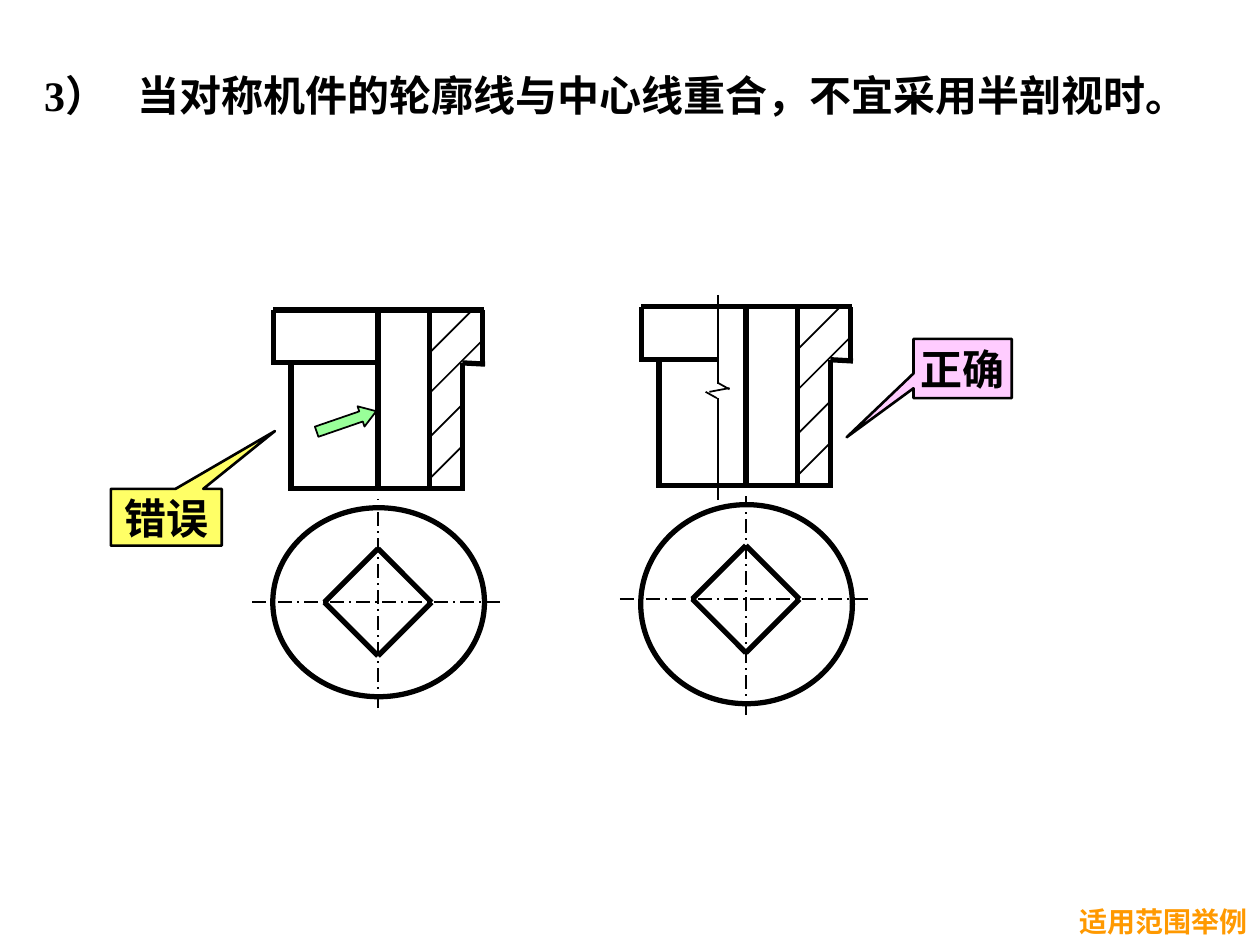
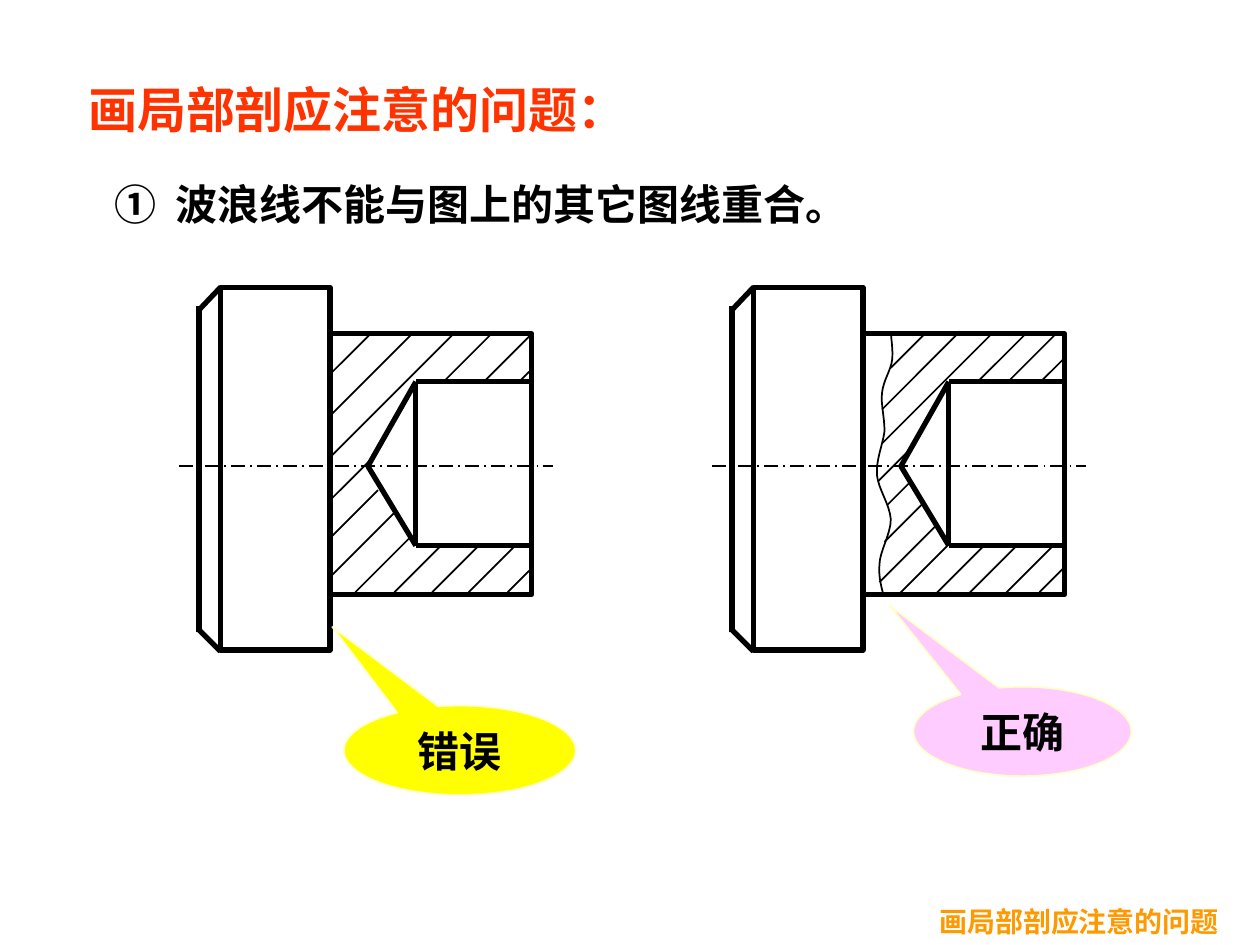
import itertools

import lxml.etree
import pptx
import pptx.dml.color
import pptx.enum.dml
import pptx.enum.shapes
import pptx.enum.text
import pptx.oxml.ns
import pptx.util

COLORS = {
    "ink": "000000", "heading": "FF3300", "footer": "FF9900",
    "arrow": "99FF99", "wrong_box": "FFFF66", "wrong_bubble": "FFFF00",
    "right": "FFCCFF", "bubble_edge": "FFFFCC",
}
COLUMNS, ROWS = 100, 75
THICK, MEDIUM, THIN = 3, 1.5, 1
SHAPES = pptx.enum.shapes.MSO_SHAPE
ALIGN = pptx.enum.text.PP_ALIGN
ANCHOR = pptx.enum.text.MSO_ANCHOR


class Sheet:
    """Style of the deck and the slide being drawn, on a grid of columns and rows."""

    font_name = "Times New Roman"

    def __init__(self):
        self.deck = pptx.Presentation()
        self.deck.slide_width = pptx.util.Inches(10)
        self.deck.slide_height = pptx.util.Inches(7.5)
        self.cell_width = self.deck.slide_width / COLUMNS
        self.cell_height = self.deck.slide_height / ROWS
        self.page = self.target = None

    def new_page(self):
        self.page = self.deck.slides.add_slide(self.deck.slide_layouts[5])
        self.target = self.page.shapes

    def start_group(self):
        self.target = self.page.shapes.add_group_shape().shapes

    def end_group(self):
        self.target = self.page.shapes

    def point(self, column, row):
        return round(column * self.cell_width), round(row * self.cell_height)

    def color(self, name):
        return pptx.dml.color.RGBColor.from_string(COLORS[name])

    def fill_text(self, box, text, size=24, color="ink", align=ALIGN.CENTER,
                  anchor=ANCHOR.MIDDLE, wrap=False, tab=None):
        frame = box.text_frame
        frame_format = {
            "word_wrap": wrap, "vertical_anchor": anchor,
            "auto_size": pptx.enum.text.MSO_AUTO_SIZE.NONE,
            "margin_left": pptx.util.Inches(0.1), "margin_right": pptx.util.Inches(0.1),
            "margin_top": pptx.util.Inches(0.05), "margin_bottom": pptx.util.Inches(0.05),
        }
        for name, value in frame_format.items():
            setattr(frame, name, value)
        para = frame.paragraphs[0]
        para.alignment = align
        if tab:
            qn = pptx.oxml.ns.qn
            stops = lxml.etree.SubElement(para._p.get_or_add_pPr(), qn("a:tabLst"))
            position = self.point(tab, 0)[0]
            lxml.etree.SubElement(stops, qn("a:tab"), pos=str(position), algn="l")
        span = para.add_run()
        span.text = text
        span_format = {"name": self.font_name, "size": pptx.util.Pt(size), "bold": True}
        for name, value in span_format.items():
            setattr(span.font, name, value)
        span.font.color.rgb = self.color(color)

    def title(self, text, area, **style):
        box = self.page.shapes.title
        (box.left, box.top), (box.width, box.height) = self.point(*area[:2]), self.point(*area[2:])
        self.fill_text(box, text, align=ALIGN.LEFT, **style)

    def text(self, text, area, **style):
        box = self.target.add_textbox(*self.point(*area[:2]), *self.point(*area[2:]))
        self.fill_text(box, text, anchor=ANCHOR.TOP, **style)

    def footer(self, text, area):
        self.text(text, area, size=16, color="footer")

    def outline(self, shape, width, color="ink"):
        shape.line.width = pptx.util.Pt(width)
        shape.line.color.rgb = self.color(color)

    def shape(self, kind, area, fill=None, width=THICK, edge="ink", adjust=(), turn=0):
        shape = self.target.add_shape(kind, *self.point(*area[:2]), *self.point(*area[2:]))
        shape.shadow.inherit = False
        shape.rotation = turn
        if fill:
            shape.fill.solid()
            shape.fill.fore_color.rgb = self.color(fill)
        else:
            shape.fill.background()
        self.outline(shape, width, edge)
        for index, value in enumerate(adjust):
            shape.adjustments[index] = value
        return shape

    def callout(self, text, kind, area, tip, **style):
        self.fill_text(self.shape(kind, area, adjust=tip, **style), text)

    def line(self, ends, origin=(0, 0), width=THICK, dashed=False):
        x, y = origin
        start_x, start_y, end_x, end_y = ends
        line = self.target.add_connector(
            pptx.enum.shapes.MSO_CONNECTOR.STRAIGHT,
            *self.point(x + start_x, y + start_y), *self.point(x + end_x, y + end_y))
        self.outline(line, width)
        if dashed:
            line.line.dash_style = pptx.enum.dml.MSO_LINE.LONG_DASH_DOT
        properties = line._element.spPr
        lxml.etree.SubElement(properties, pptx.oxml.ns.qn("a:effectLst"))

    def lines(self, all_ends, origin=(0, 0), **style):
        for ends in all_ends:
            self.line(ends, origin, **style)

    def hatch(self, strokes, origin):
        """Draw strokes rising at 45 degrees, each given as start and run."""
        for x, y, run in strokes:
            self.line((x, y, x + run, y - run), origin, width=THIN)

    def curve(self, nodes, origin, steps=8):
        """Draw a chain of cubic curves sharing their end nodes."""
        x, y = origin
        points = [nodes[0]]
        for first in range(0, len(nodes) - 1, 3):
            controls = nodes[first:first + 4]
            for step in range(1, steps + 1):
                t = step / steps
                weights = ((1 - t) ** 3, 3 * t * (1 - t) ** 2, 3 * t * t * (1 - t), t ** 3)
                points.append(tuple(sum(w * node[axis] for w, node in zip(weights, controls))
                                    for axis in (0, 1)))
        points = [self.point(x + column, y + row) for column, row in points]
        builder = self.target.build_freeform(*points[0])
        builder.add_line_segments(points[1:], close=False)
        shape = builder.convert_to_shape()
        shape.shadow.inherit = False
        shape.fill.background()
        self.outline(shape, THIN)


# Bush: positions are relative to the axis and the top edge
BUSH_EDGES = [
    (-8.3, 0, 8.4, 0), (-8.3, 0, -8.3, 4.4), (8.3, 0, 8.3, 4.4),
    (4.1, 0, 4.1, 14.2), (6.7, 4.2, 6.7, 14.4), (-6.9, 4.1, -6.9, 14.4),
    (-6.9, 14.2, 6.7, 14.2), (6.7, 4.2, 8.5, 4.3), (0, 0, 0, 14.2),
]
BUSH_HATCH = [(4.1, 13.4, 2.7), (4, 10.2, 2.7), (4, 6.7, 4.3), (4.2, 3.3, 3.3)]
BREAK_LINE = [
    (57, 23.4, 57, 30.5), (57, 30.4, 57.9, 30.9), (57, 31.6, 57, 39.7),
    (56, 31.1, 56.9, 31.6), (56.3, 31.1, 57.9, 30.8),
]

# Shaft: positions are relative to the top left corner of the flange
SHAFT_EDGES = [
    (0, 0, -1.8, 1.9), (0, 28.9, -1.7, 27.2), (-1.7, 27.4, -1.7, 1.5),
    (15.5, 7.5, 24.8, 7.5), (15.5, 20.5, 24.8, 20.5), (15.5, 7.5, 15.5, 20.5),
    (15.5, 7.5, 11.7, 14.2), (11.7, 14.2, 15.5, 20.5),
]
FULL_HATCH = [
    (8.7, 6.9, 3.3), (8.7, 10.2, 6.6), (8.7, 13.5, 10), (8.7, 16.9, 3.1),
    (17.8, 7.4, 3.9), (21, 7.4, 3.5), (23.8, 7.4, 0.7), (8.7, 19.9, 3.8),
    (8.7, 23, 5.1), (10.7, 24.2, 4.3), (13.8, 24.2, 3.8), (16.8, 24.2, 3.8),
    (19.7, 24.2, 3.8), (22.8, 24.2, 1.7),
]
LOCAL_HATCH = [
    (10.9, 6.4, 2.8), (10.2, 9.7, 6.2), (10.2, 12.4, 8.7), (9.9, 15.4, 2.5),
    (17.9, 7.4, 3.8), (20.2, 7.5, 4), (22.9, 7.4, 1.8), (10.6, 17.3, 1.8),
    (10.4, 20.2, 3), (10, 23.4, 4.5), (11.5, 24.4, 4), (14.4, 24.4, 3.8),
    (17, 24.4, 4), (19.9, 24.4, 4), (22.7, 24.2, 2),
]
WAVE = [
    (10.9, 3.5), (10.9, 3.9), (11.1, 5), (11, 5.8), (10.9, 6.6), (10.3, 7.4), (10.2, 8.4),
    (10.1, 9.3), (10.4, 10.3), (10.4, 11.4), (10.3, 12.4), (9.7, 13.7), (9.8, 14.9),
    (9.9, 16), (10.8, 17.2), (10.9, 18.4), (10.9, 19.6), (10, 21), (10, 22),
    (9.9, 23), (10.2, 23.9), (10.3, 24.4),
]


def draw_bush(sheet, origin, ledge_end, depth):
    """Front view with its half section, above the plan view."""
    x, y = origin
    middle, top, half = 23.2, 15.7, 4.25
    sheet.start_group()
    sheet.lines(BUSH_EDGES + [(-8.3, 4.2, ledge_end, 4.2)], origin)
    sheet.hatch(BUSH_HATCH, origin)
    sheet.shape(SHAPES.OVAL, (x - 8.35, y + top, 16.8, depth))
    center_lines = [(-10, middle, 10, middle), (0, top + depth + 0.9, 0, top - 0.7)]
    sheet.lines(center_lines, origin, width=THIN, dashed=True)
    for side, rise in itertools.product((-half, half), repeat=2):
        sheet.line((side, middle, 0, middle + rise), origin)
    sheet.end_group()


def draw_shaft(sheet, origin, hatch, wave=None):
    """Stepped shaft with a drilled hole in section."""
    x, y = origin
    sheet.start_group()
    sheet.line((-3.3, 14.2, 26.4, 14.2), origin, width=THIN, dashed=True)
    for left, top, width, height in [(0, 0, 8.7, 28.8), (8.7, 3.7, 16, 20.7)]:
        sheet.shape(SHAPES.RECTANGLE, (x + left, y + top, width, height))
    sheet.lines(SHAFT_EDGES, origin)
    if wave:
        sheet.curve(wave, origin)
    sheet.hatch(hatch, origin)
    sheet.end_group()


def half_section_page(sheet):
    sheet.new_page()
    sheet.title("3）\t当对称机件的轮廓线与中心线重合，不宜采用半剖视时。",
                (2.5, 5, 94.8, 5), wrap=True, tab=7.4)
    # Wrong and right views of the bush
    draw_bush(sheet, (30, 24.6), ledge_end=0, depth=15)
    draw_bush(sheet, (59.2, 24.35), ledge_end=-2.1, depth=15.8)
    sheet.lines(BREAK_LINE, width=THIN)
    # Marks
    sheet.shape(SHAPES.RIGHT_ARROW, (25, 32.6, 5, 1.7), fill="arrow", width=THIN,
                adjust=(0.5, 0.75), turn=341)
    box = SHAPES.RECTANGULAR_CALLOUT
    sheet.callout("错误", box, (8.8, 38.8, 8.8, 4.5), (0.98, -1.52),
                  fill="wrong_box", width=MEDIUM)
    sheet.callout("正确", box, (72.5, 26.9, 7.8, 4.7), (-1.18, 1.16),
                  fill="right", width=MEDIUM)
    sheet.footer("适用范围举例", (84.7, 71.3, 15.3, 3.7))


def local_section_page(sheet):
    sheet.new_page()
    sheet.title("画局部剖应注意的问题：", (6, 5.8, 44.7, 5.7), size=28,
                color="heading", anchor=ANCHOR.TOP)
    sheet.text("①\t波浪线不能与图上的其它图线重合。", (8.1, 13.7, 60.2, 5),
               align=ALIGN.LEFT, wrap=True, tab=4.85)
    # Wrong and right views of the shaft
    draw_shaft(sheet, (17.5, 22.8), FULL_HATCH)
    draw_shaft(sheet, (59.8, 22.8), LOCAL_HATCH, WAVE)
    # Marks
    bubble = SHAPES.OVAL_CALLOUT
    sheet.callout("错误", bubble, (27.3, 56, 18.4, 7.1), (-0.55, -1.38),
                  fill="wrong_bubble", width=THIN, edge="bubble_edge")
    sheet.callout("正确", bubble, (72.5, 54.5, 17.3, 7.1), (-0.61, -1.41),
                  fill="right", width=THIN, edge="bubble_edge")
    sheet.footer("画局部剖应注意的问题", (73.6, 71.3, 24.1, 3.7))


def main():
    sheet = Sheet()
    half_section_page(sheet)
    local_section_page(sheet)
    sheet.deck.save("out.pptx")


if __name__ == "__main__":
    main()
